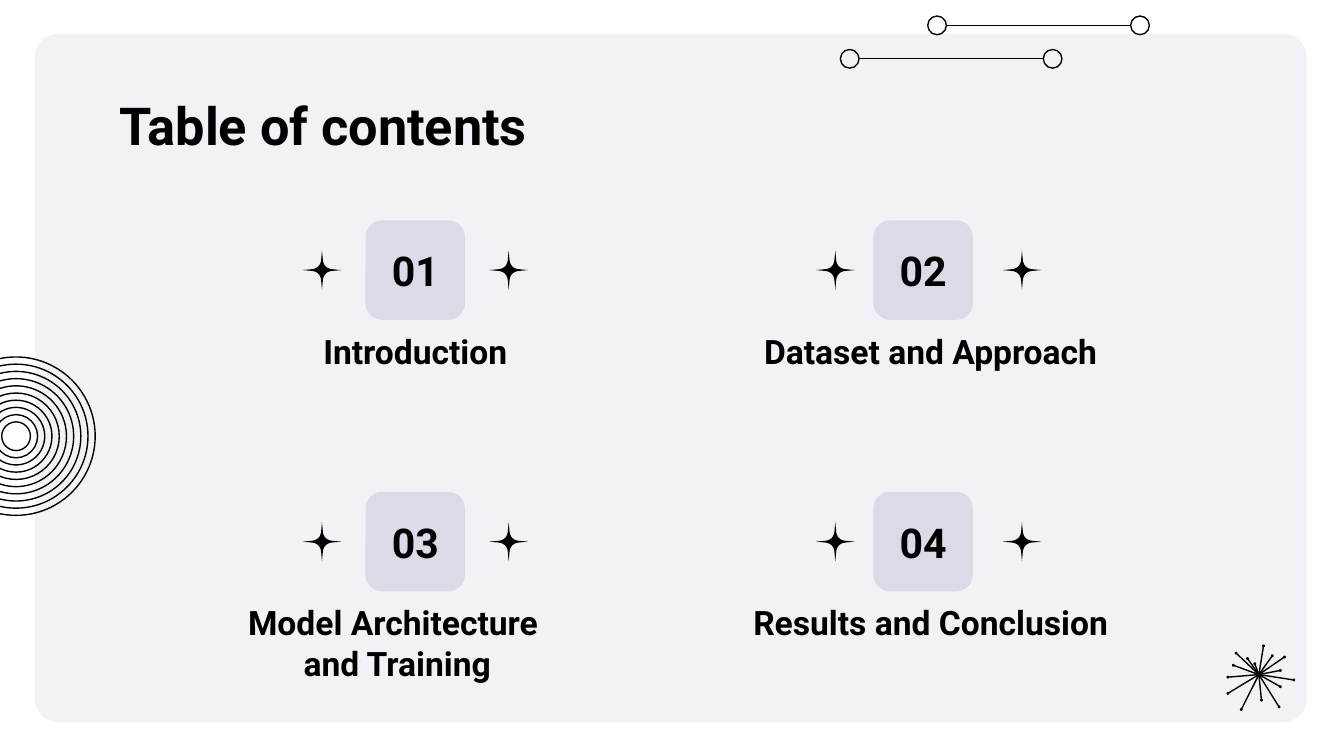
from copy import deepcopy

from lxml import etree
from pptx import Presentation
from pptx.dml.color import RGBColor
from pptx.enum.shapes import MSO_CONNECTOR, MSO_SHAPE
from pptx.enum.text import MSO_ANCHOR, MSO_AUTO_SIZE, PP_ALIGN
from pptx.oxml.ns import qn
from pptx.util import Pt

LEFT, CENTER = PP_ALIGN.LEFT, PP_ALIGN.CENTER
TOP, MIDDLE = MSO_ANCHOR.TOP, MSO_ANCHOR.MIDDLE
NO_AUTOFIT = MSO_AUTO_SIZE.NONE
OVAL, ROUND_RECT = MSO_SHAPE.OVAL, MSO_SHAPE.ROUNDED_RECTANGLE
STRAIGHT = MSO_CONNECTOR.STRAIGHT

COLORS = {"ink": "000000", "panel": "F0F2F6", "tile": "D9DBE6"}
COMPARISON_LAYOUT = 4  # a title and four body placeholders


def rgb(name):
    return RGBColor.from_string(COLORS[name])


class Deck:
    font = "Roboto"
    line_width = 0.75

    def __init__(self, width, height):
        self.prs = Presentation()
        self.prs.slide_width, self.prs.slide_height = Pt(width), Pt(height)
        self.s = None

    def new_slide(self, layout):
        self.s = self.prs.slides.add_slide(self.prs.slide_layouts[layout])

    def round_rect(self, x, y, w, h, color, radius):
        sp = self.s.shapes.add_shape(ROUND_RECT, Pt(x), Pt(y), Pt(w), Pt(h))
        sp.adjustments[0] = radius
        self.paint(sp, color)

    def circle(self, cx, cy, radius, color=None):
        """A filled dot, or a ring when no colour is given."""
        sp = self.s.shapes.add_shape(OVAL, Pt(cx - radius), Pt(cy - radius),
                                     Pt(2 * radius), Pt(2 * radius))
        self.paint(sp, color)

    def paint(self, sp, color):
        sp.shadow.inherit = False
        if color:
            sp.fill.solid()
            sp.fill.fore_color.rgb = rgb(color)
            sp.line.fill.background()
        else:
            sp.fill.background()
            self.ink_line(sp)

    def ink_line(self, sp):
        sp.line.color.rgb = rgb("ink")
        sp.line.width = Pt(self.line_width)

    def line(self, x1, y1, x2, y2):
        sp = self.s.shapes.add_connector(STRAIGHT, Pt(x1), Pt(y1), Pt(x2), Pt(y2))
        self.ink_line(sp)
        etree.SubElement(sp.element.spPr, qn("a:effectLst"))

    def link(self, x, y, length=108.7, radius=5):
        """A line between two ring-shaped nodes centred on its ends."""
        self.circle(x, y, radius)
        self.line(x + radius, y, x + length - radius, y)
        self.circle(x + length, y, radius)

    def sparkle(self, cx, cy, steps=6):
        """A four-pointed star with curved inner corners."""
        curve = [(0.5, -5), (1, -2.4), (2.4, -1), (5, -0.5)]
        arm = [(0, -10.5)]
        for i in range(steps + 1):
            t = i / steps
            weights = ((1 - t) ** 3, 3 * t * (1 - t) ** 2, 3 * t * t * (1 - t), t ** 3)
            arm.append(tuple(sum(w * pt[axis] for w, pt in zip(weights, curve))
                             for axis in (0, 1)))
        outline = []
        for _ in range(4):
            outline += arm
            arm = [(-y, x) for x, y in arm]
        points = [(Pt(cx + x), Pt(cy + y)) for x, y in outline]
        builder = self.s.shapes.build_freeform(*points[0])
        builder.add_line_segments(points[1:], close=True)
        self.paint(builder.convert_to_shape(), "ink")

    def placeholder(self, idx, text, box, size, align):
        sp = self.s.placeholders[idx]
        self.s.shapes.element.append(sp.element)  # bring to front
        self.set_text(sp, text, box, size, align, TOP)
        pPr = sp.text_frame.paragraphs[0]._p.get_or_add_pPr()
        pPr.set("marL", "0")
        pPr.set("indent", "0")
        etree.SubElement(pPr, qn("a:buNone"))

    def text_box(self, text, box, size):
        sp = self.s.shapes.add_textbox(0, 0, 0, 0)
        self.set_text(sp, text, box, size, CENTER, MIDDLE)

    def set_text(self, sp, text, box, size, align, anchor):
        sp.left, sp.top, sp.width, sp.height = (Pt(v) for v in box)
        tf = sp.text_frame
        tf.text = text
        tf.word_wrap = True
        tf.auto_size = NO_AUTOFIT
        tf.vertical_anchor = anchor
        tf.margin_left = tf.margin_right = tf.margin_top = tf.margin_bottom = Pt(7.2)
        p = tf.paragraphs[0]
        p.alignment = align
        p.space_before = Pt(0)
        for r in p.runs:
            r.font.name, r.font.size, r.font.bold = self.font, Pt(size), True
            r.font.color.rgb = rgb("ink")
        for br in p._p.findall(qn("a:br")):
            br.append(deepcopy(p.runs[0]._r.rPr))


TILE = 53.3
ROWS = (144.7, 290.2)
COLUMNS = ((222.5, 222.5), (494.6, 497.5))  # tile centre, sparkle pair centre
# Heading, its centre and its width
SECTIONS = [
    ("Introduction", 222.5, 208.8),
    ("Dataset and Approach", 498.6, 216.7),
    ("Model Architecture\v and Training", 210.6, 278.6),
    ("Results and Conclusion", 498.6, 216.7),
]
BURST_CENTER = (674.4, 361.4)
BURST_TIPS = [
    (2.5, -15.4), (-16.6, 1.4), (-16.6, 10.1), (10.8, 17.3), (-9.4, 18.7),
    (1.4, 13.7), (11.5, 6.5), (18.7, 2.9), (11.5, -2.2), (13.7, -9.4),
    (7.2, -10.1), (-2.2, -5.8), (-6.1, -8.6), (-12.2, -11.5), (-13.7, -5),
]


def add_decoration(deck):
    deck.round_rect(18.8, 18.2, 681.2, 368.6, "panel", 0.033)
    for i in range(10):
        deck.circle(8.6, 233.7, 7.7 + 3.86 * i)
    deck.link(455.2, 31.5)
    deck.link(502, 13.6)
    cx, cy = BURST_CENTER
    for dx, dy in BURST_TIPS:
        deck.line(cx, cy, cx + dx, cy + dy)
        deck.circle(cx + dx, cy + dy, 0.75, "ink")


def add_section(deck, i):
    heading, heading_cx, width = SECTIONS[i]
    cy = ROWS[i // 2]
    tile_cx, pair_cx = COLUMNS[i % 2]
    deck.round_rect(tile_cx - TILE / 2, cy - TILE / 2, TILE, TILE, "tile", 0.167)
    for dx in (-50, 50):
        deck.sparkle(pair_cx + dx, cy)
    deck.text_box(f"{i + 1:02}", (tile_cx - 22.3, cy - 10.5, 44.6, 21), 22)
    deck.placeholder(i + 1, heading, (heading_cx - width / 2, cy + 25.3, width, 34.6),
                     18, CENTER)


def main():
    deck = Deck(720, 405)
    deck.new_slide(COMPARISON_LAYOUT)
    add_decoration(deck)
    deck.placeholder(0, "Table of contents", (56.9, 42.5, 606.2, 45.4), 28, LEFT)
    for i in range(len(SECTIONS)):
        add_section(deck, i)
    deck.prs.save("out.pptx")


if __name__ == "__main__":
    main()
